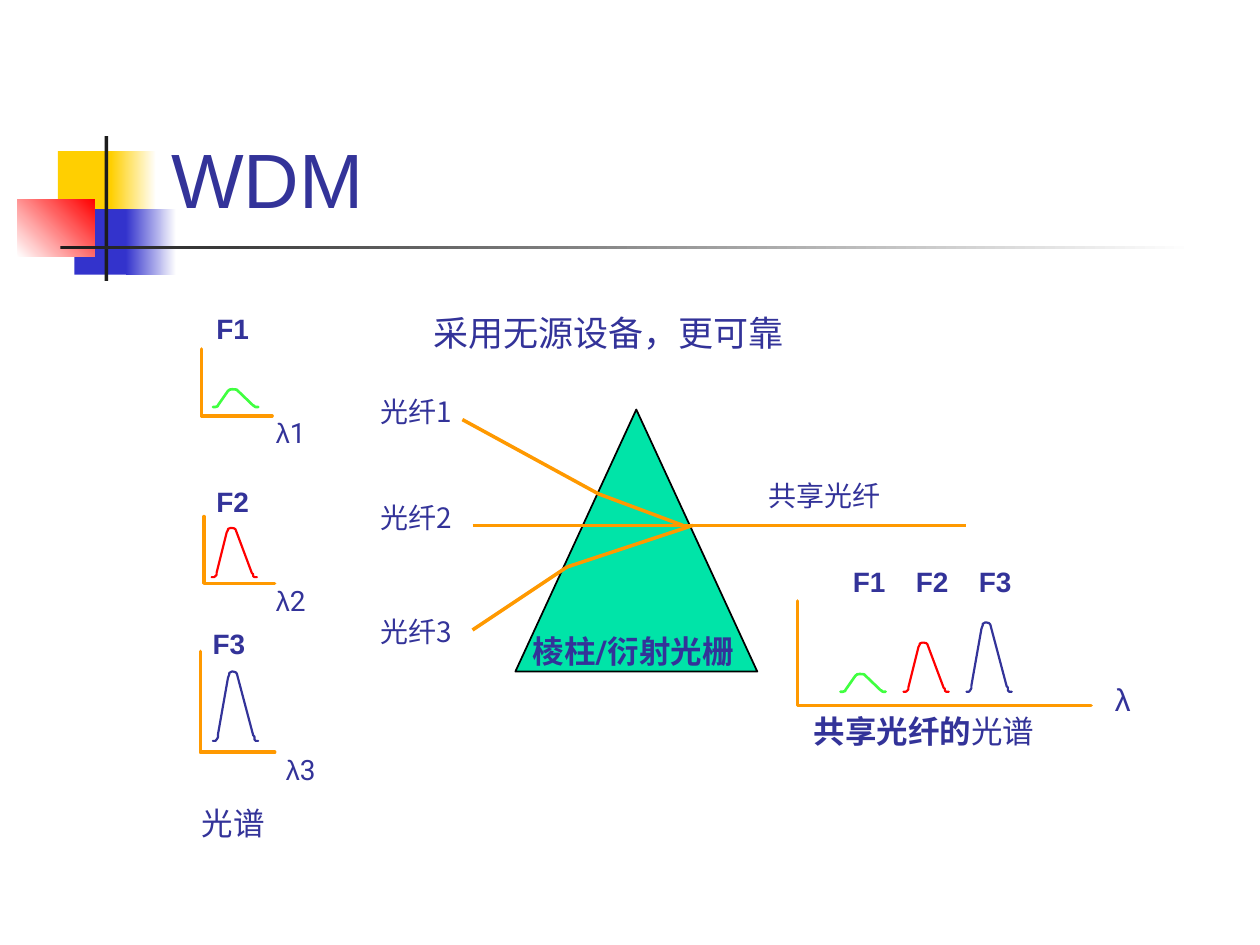
from dataclasses import dataclass

from lxml import etree
from pptx import Presentation
from pptx.dml.color import RGBColor
from pptx.enum.shapes import MSO_CONNECTOR, MSO_SHAPE
from pptx.enum.text import MSO_ANCHOR, PP_ALIGN
from pptx.oxml.ns import qn
from pptx.util import Inches, Pt

RECT, TRIANGLE = MSO_SHAPE.RECTANGLE, MSO_SHAPE.ISOSCELES_TRIANGLE
STRAIGHT = MSO_CONNECTOR.STRAIGHT
LEFT, CENTER = PP_ALIGN.LEFT, PP_ALIGN.CENTER
TOP, BOTTOM = MSO_ANCHOR.TOP, MSO_ANCHOR.BOTTOM

PEAK = [(0, 0), (0.02, 0), (0.03, 0.02), (0.04, 0.05), (0.04, 0.09), (0.12, 0.91),
        (0.13, 0.96), (0.13, 0.98), (0.15, 1), (0.16, 1), (0.18, 0.99), (0.19, 0.97),
        (0.32, 0.08), (0.33, 0.06), (0.33, 0.04), (0.33, 0.02), (0.34, 0), (0.36, 0)]


@dataclass(frozen=True)
class Theme:
    """Colours, fonts and type sizes of the slide."""
    ink: str = "333399"
    fiber: str = "FF9900"
    prism: str = "00E4A8"
    black: str = "000000"
    white: str = "FFFFFF"
    yellow: str = "FFCF01"
    blue: str = "3333CC"
    red: str = "FF0000"
    green: str = "40FF40"
    bar: str = "1C1C1C"
    latin: str = "Arial"
    cjk: str = "Noto Sans CJK SC"
    sans: str = "Roboto"
    title: int = 44
    lead: int = 20
    caption: int = 18
    label: int = 16


class Canvas:
    """Draws styled elements on the current slide."""

    def __init__(self, slide, theme):
        self.slide, self.theme, self.shapes = slide, theme, slide.shapes

    def add_runs(self, tf, runs, size, align=LEFT, anchor=TOP, wrap=True):
        """Fill a text frame with (text, font, bold) runs."""
        tf.word_wrap, tf.vertical_anchor = wrap, anchor
        p = tf.paragraphs[0]
        p.alignment = align
        for text, font, bold in runs:
            r = p.add_run()
            r.text = text
            r.font.name, r.font.size, r.font.bold = font, Pt(size), bold
            r.font.color.rgb = RGBColor.from_string(self.theme.ink)
            ea = etree.SubElement(r.font._element, qn("a:ea"))
            ea.set("typeface", self.theme.cjk)

    def title(self, text, x, y, w, h):
        """Place and fill the title placeholder."""
        sp = self.shapes.title
        sp.left, sp.top, sp.width, sp.height = map(Inches, (x, y, w, h))
        self.add_runs(sp.text_frame, [(text, self.theme.latin, False)],
                      self.theme.title, anchor=BOTTOM)

    def text(self, runs, x, y, w, h, size, align=LEFT, wrap=True):
        """Add a text box."""
        box = self.shapes.add_textbox(*map(Inches, (x, y, w, h)))
        self.add_runs(box.text_frame, runs, size, align, wrap=wrap)

    def shape(self, kind, x, y, w, h, color, end=None, angle=0, line=None):
        """Add a preset shape with a plain or gradient fill."""
        sp = self.shapes.add_shape(kind, *map(Inches, (x, y, w, h)))
        sp.shadow.inherit = False
        if end:
            sp.fill.gradient()
            sp.fill.gradient_angle = angle
            for stop, stop_color in zip(sp.fill.gradient_stops, (color, end)):
                stop.color.rgb = RGBColor.from_string(stop_color)
        else:
            sp.fill.solid()
            sp.fill.fore_color.rgb = RGBColor.from_string(color)
        if line:
            self.stroke(sp, line, 1)
        else:
            sp.line.fill.background()

    def stroke(self, sp, color, width):
        """Set the outline of a shape or connector."""
        sp.line.color.rgb = RGBColor.from_string(color)
        sp.line.width = Pt(width)

    def curve(self, points, color, width):
        """Add an open outline with round ends."""
        pts = [(Inches(x), Inches(y)) for x, y in points]
        builder = self.shapes.build_freeform(*pts[0])
        builder.add_line_segments(pts[1:], close=False)
        sp = builder.convert_to_shape()
        sp.shadow.inherit = False
        sp.fill.background()
        self.stroke(sp, color, width)
        ln = sp._element.spPr.find(qn("a:ln"))
        ln.set("cap", "rnd")
        etree.SubElement(ln, qn("a:round"))

    def axes(self, x, y, w, h):
        """Add the two axes of a spectrum."""
        self.curve([(x, y), (x, y + h), (x + w, y + h)], self.theme.fiber, 2)

    def peak(self, x, base, height, color, width):
        """Add one spectral peak standing on its base."""
        self.curve([(x + dx, base - height * f) for dx, f in PEAK], color, width)

    def line(self, start, end):
        """Add a straight piece of fibre."""
        sp = self.shapes.add_connector(STRAIGHT, *map(Inches, (*start, *end)))
        self.stroke(sp, self.theme.fiber, 2)
        etree.SubElement(sp._element.spPr, qn("a:effectLst"))


def draw_ornament(c, t):
    """Draw the coloured squares and bars beside the title."""
    c.shape(RECT, 0.46, 1.2, 0.48, 0.52, t.yellow)
    c.shape(RECT, 0.88, 1.2, 0.36, 0.52, t.yellow, t.white)
    c.shape(RECT, 0.59, 1.66, 0.46, 0.52, t.blue)
    c.shape(RECT, 1, 1.66, 0.4, 0.52, t.blue, t.white)
    c.shape(RECT, 0.14, 1.58, 0.61, 0.46, t.white, t.red, 45)
    c.shape(RECT, 0.83, 1.08, 0.03, 1.15, t.bar)
    c.shape(RECT, 0.48, 1.95, 9, 0.03, t.bar, t.white)


def draw_spectra(c, t):
    """Draw the single spectra and the shared one."""
    peaks = [(0.14, t.green, 1.5), (0.39, t.red, 1.25), (0.55, t.ink, 1.25)]
    axes = [(1.6, 2.77, 0.56, 0.53), (1.62, 4.1, 0.56, 0.53), (1.59, 5.17, 0.59, 0.8)]
    places = [(1.69, 3.23), (1.68, 4.58), (1.69, 5.88)]
    names = [(1.62, 2.42), (1.62, 3.8), (1.59, 4.92)]
    waves = [(2.09, 3.25), (2.09, 4.58), (2.17, 5.92)]
    rows = zip(peaks, axes, places, names, waves)
    for i, (peak, axis, place, name, wave) in enumerate(rows):
        c.axes(*axis)
        c.peak(*place, *peak)
        shared_x = 6.67 + 0.5 * i
        c.peak(shared_x, 5.49, *peak)
        for x, y in (name, (shared_x, 4.43)):
            c.text([(f"F{i + 1}", t.latin, True)], x, y, 0.46, 0.37, t.label, wrap=False)
        c.text([("λ", t.latin, False), (str(i + 1), t.sans, False)],
               *wave, 0.48, 0.37, t.label, wrap=False)
    c.axes(6.33, 4.77, 2.33, 0.83)
    c.text([("光谱", t.cjk, False)], 1.5, 6.33, 0.7, 0.4, t.caption, CENTER, False)
    c.text([("共享光纤的", t.latin, True), ("光谱", t.cjk, False)],
           6.25, 5.6, 2.17, 0.4, t.caption, CENTER)
    c.text([("λ", t.latin, False)], 8.75, 5.35, 0.5, 0.4, t.caption)


def draw_prism(c, t):
    """Draw the prism with the fibres that meet in it."""
    c.shape(TRIANGLE, 4.09, 3.25, 1.92, 2.08, t.prism, line=t.black)
    focus = (5.42, 4.17)
    routes = [[(3.67, 3.33), (4.75, 3.92), focus],
              [(3.75, 4.17), (4.67, 4.17), focus, (7.67, 4.17)],
              [(3.75, 5), (4.5, 4.5), (5.5, 4.17)]]
    for route in routes:
        for start, end in zip(route, route[1:]):
            c.line(start, end)
    for i, y in enumerate((3.08, 3.92, 4.83), 1):
        c.text([(f"光纤{i}", t.cjk, False)], 2.92, y, 0.83, 0.37, t.label)
    c.text([("共享光纤", t.sans, False)], 6, 3.75, 1.25, 0.37, t.label)
    c.text([("采用无源设备，更可靠", t.sans, False)], 3.34, 2.42, 4.08, 0.44, t.lead)
    c.text([("棱柱/衍射光栅", t.sans, True)], 4.13, 4.97, 2.17, 0.4, t.caption)


def main():
    """Build and save the slide."""
    prs = Presentation()
    prs.slide_width, prs.slide_height = Inches(10), Inches(7.5)
    t = Theme()
    c = Canvas(prs.slides.add_slide(prs.slide_layouts[5]), t)
    draw_ornament(c, t)
    c.title("WDM", 1.26, 0.23, 8.52, 1.6)
    draw_prism(c, t)
    draw_spectra(c, t)
    prs.save("out.pptx")


if __name__ == "__main__":
    main()
